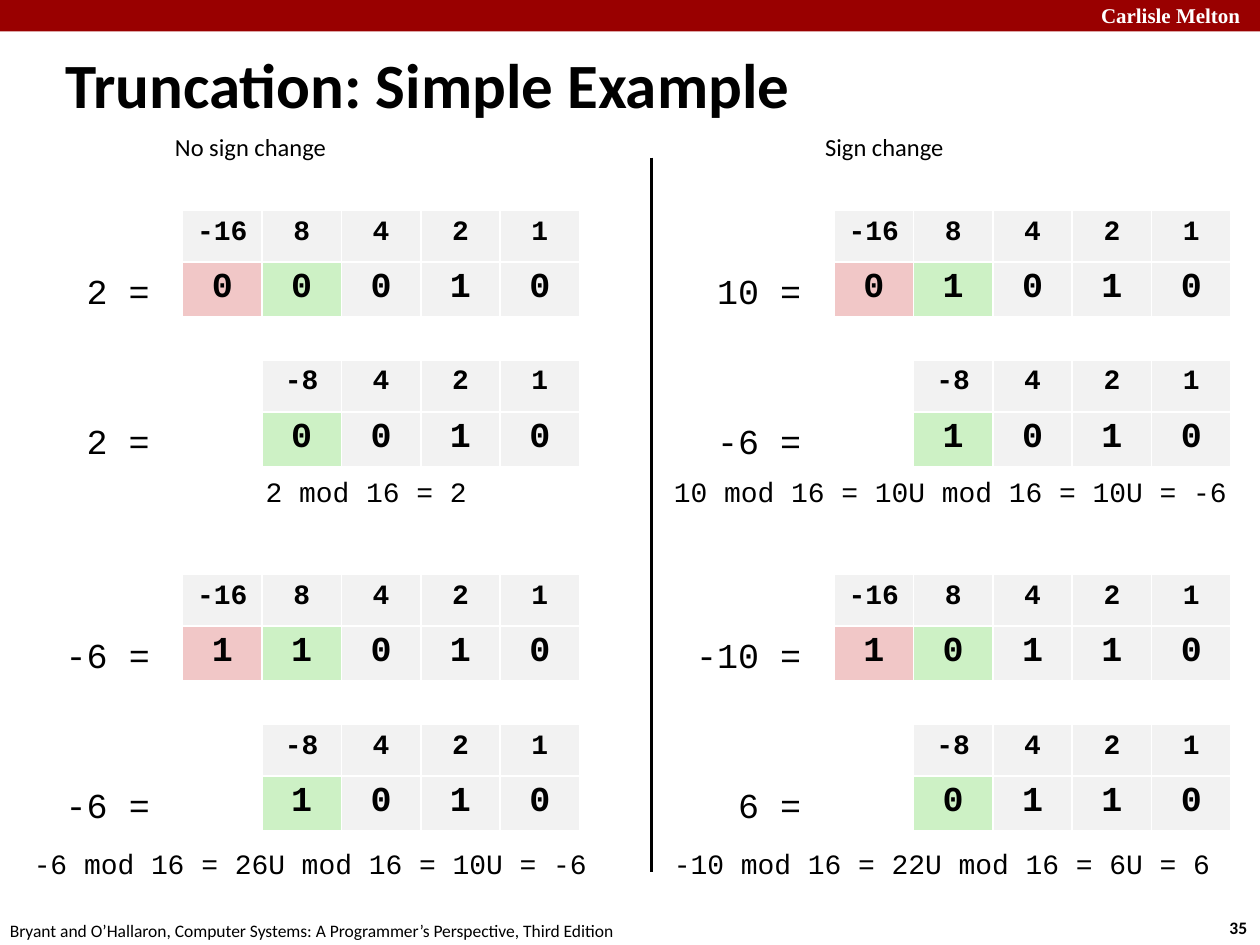
from dataclasses import dataclass

from lxml import etree
from pptx import Presentation
from pptx.dml.color import RGBColor
from pptx.enum.shapes import MSO_CONNECTOR, MSO_SHAPE
from pptx.enum.text import MSO_ANCHOR, MSO_AUTO_SIZE, PP_ALIGN
from pptx.oxml.ns import qn
from pptx.slide import Slide
from pptx.table import _Cell
from pptx.util import Inches, Pt

LINE = MSO_CONNECTOR.STRAIGHT
RECT = MSO_SHAPE.RECTANGLE
MIDDLE = MSO_ANCHOR.MIDDLE
LEFT, CENTER = PP_ALIGN.LEFT, PP_ALIGN.CENTER
FIXED, GROW = MSO_AUTO_SIZE.NONE, MSO_AUTO_SIZE.SHAPE_TO_FIT_TEXT


@dataclass(frozen=True)
class Theme:
    sans: str = "Calibri"
    serif: str = "Times New Roman"
    mono: str = "Courier New"
    black: str = "000000"
    white: str = "FFFFFF"
    band: str = "990000"
    grey: str = "F2F2F2"
    red: str = "F1C7C7"
    green: str = "CDF1C5"
    title: int = 36
    bit: int = 20
    weight: int = 16
    note: int = 16
    head: int = 14
    brand: int = 12
    foot: int = 10


@dataclass(frozen=True)
class Label:
    text: str
    left: float
    top: float
    width: float
    height: float
    size: int
    font: str
    bold: bool = False
    color: str = "000000"


@dataclass(frozen=True)
class Case:
    """A five-bit value, its four-bit truncation and the sum below them."""
    left: float
    top: float
    before: str
    bits: str
    after: str
    note: Label


THEME = Theme()
CELL = 0.63
ROWS = (0.41, 0.43)
CHAR = 1 / 6  # width of one mono character at the bit size
STEP = 1.19   # from the full table down to the truncated one
COL_A, COL_B = 1.45, 6.62
ROW_A, ROW_B = 1.67, 4.56
WIDE = ("-16", "8", "4", "2", "1")
SHORT = ("", "-8", "4", "2", "1")


def note(text: str, left: float, top: float, width: float) -> Label:
    return Label(text, left, top, width, 0.37, THEME.note, THEME.mono)


CASES = (
    Case(COL_B, ROW_A, "10 =", "01010", "-6 =",
         note("10 mod 16 = 10U mod 16 = 10U = -6", 5.25, 3.72, 4.66)),
    Case(COL_B, ROW_B, "-10 =", "10110", "6 =",
         note("-10 mod 16 = 22U mod 16 = 6U = 6", 5.25, 6.67, 4.52)),
    Case(COL_A, ROW_A, "2 =", "00010", "2 =",
         note("2 mod 16 = 2", 2.01, 3.72, 1.82)),
    Case(COL_A, ROW_B, "-6 =", "11010", "-6 =",
         note("-6 mod 16 = 26U mod 16 = 10U = -6", 0.17, 6.67, 4.66)),
)
HEADS = (
    Label("No sign change", 1.29, 1, 2.31, 0.5, THEME.head, THEME.sans),
    Label("Sign change", 6.45, 1, 1.85, 0.5, THEME.head, THEME.sans),
)
FRAME = (
    Label("Carlisle Melton", 8.64, -0.03, 1.43, 0.3, THEME.brand, THEME.serif,
          True, THEME.white),
    Label("35", 9.66, 7.23, 0.37, 0.27, THEME.foot, THEME.sans, True),
    Label("Bryant and O’Hallaron, Computer Systems: A Programmer’s "
          "Perspective, Third Edition",
          -0.02, 7.25, 5.08, 0.27, THEME.foot, THEME.sans),
)


def style(para, size: int, font: str, bold: bool, color: str, align) -> None:
    para.alignment = align
    for run in para.runs:
        run.font.size = Pt(size)
        run.font.name = font
        run.font.bold = bold
        run.font.color.rgb = RGBColor.from_string(color)


def add_label(slide: Slide, item: Label) -> None:
    box = slide.shapes.add_textbox(Inches(item.left), Inches(item.top),
                                   Inches(item.width), Inches(item.height))
    frame = box.text_frame
    frame.text = item.text
    frame.word_wrap = False
    frame.auto_size = GROW
    style(frame.paragraphs[0], item.size, item.font, item.bold, item.color, LEFT)


def add_edges(cell: _Cell) -> None:
    """Give a cell thin white borders; they must precede its fill."""
    props = cell._tc.get_or_add_tcPr()
    for pos, tag in enumerate(("a:lnL", "a:lnR", "a:lnT", "a:lnB")):
        edge = etree.Element(qn(tag), w=str(Pt(1)))
        fill = etree.SubElement(edge, qn("a:solidFill"))
        etree.SubElement(fill, qn("a:srgbClr"), val=THEME.white)
        props.insert(pos, edge)


def add_grid(slide: Slide, left: float, top: float,
             weights: tuple[str, ...], bits: str) -> None:
    """Draw bit weights over bits; columns without a weight stay blank."""
    count = len(weights)
    grid = slide.shapes.add_table(2, count, Inches(left), Inches(top),
                                  Inches(CELL * count), Inches(sum(ROWS))).table
    for row, height in zip(grid.rows, ROWS):
        row.height = Inches(height)
    tints = (THEME.red, THEME.green) + (THEME.grey,) * (count - 2)
    for col, (weight, bit, tint) in enumerate(zip(weights, bits, tints)):
        grid.columns[col].width = Inches(CELL)
        texts = (weight, bit if weight else "")
        fills = (THEME.grey, tint) if weight else (THEME.white,) * 2
        for row, size in enumerate((THEME.weight, THEME.bit)):
            cell = grid.cell(row, col)
            cell.fill.solid()
            cell.fill.fore_color.rgb = RGBColor.from_string(fills[row])
            if texts[row]:
                cell.text_frame.text = texts[row]
                style(cell.text_frame.paragraphs[0], size, THEME.mono, True,
                      THEME.black, CENTER)
            if row:
                add_edges(cell)


def add_case(slide: Slide, case: Case) -> None:
    parts = ((case.before, WIDE, case.top), (case.after, SHORT, case.top + STEP))
    for text, weights, top in parts:
        span = CHAR * len(text)
        add_label(slide, Label(text, case.left - 0.36 - span, top + 0.42,
                               span + 0.2, 0.44, THEME.bit, THEME.mono))
        add_grid(slide, case.left, top, weights, case.bits)
    add_label(slide, case.note)


def add_title(slide: Slide, text: str) -> None:
    title = slide.shapes.title
    title.left, title.top = Inches(0.42), Inches(0.35)
    title.width, title.height = Inches(9.58), Inches(0.63)
    frame = title.text_frame
    frame.text = text
    frame.auto_size = FIXED
    frame.vertical_anchor = MIDDLE
    style(frame.paragraphs[0], THEME.title, THEME.sans, True, THEME.black, LEFT)


def add_band(slide: Slide) -> None:
    band = slide.shapes.add_shape(RECT, 0, 0, Inches(10), Inches(0.25))
    band.shadow.inherit = False
    band.fill.solid()
    band.fill.fore_color.rgb = RGBColor.from_string(THEME.band)
    band.line.fill.background()


def add_rule(slide: Slide) -> None:
    rule = slide.shapes.add_connector(LINE, Inches(5.17), Inches(1.25),
                                      Inches(5.17), Inches(6.92))
    rule.line.width = Pt(2)
    rule.line.color.rgb = RGBColor.from_string(THEME.black)
    etree.SubElement(rule._element.spPr, qn("a:effectLst"))


def main() -> None:
    deck = Presentation()
    deck.slide_width, deck.slide_height = Inches(10), Inches(7.5)
    slide = deck.slides.add_slide(deck.slide_layouts[5])
    add_band(slide)
    add_title(slide, "Truncation: Simple Example")
    for item in FRAME + HEADS:
        add_label(slide, item)
    for case in CASES:
        add_case(slide, case)
    add_rule(slide)
    deck.save("out.pptx")


if __name__ == "__main__":
    main()
